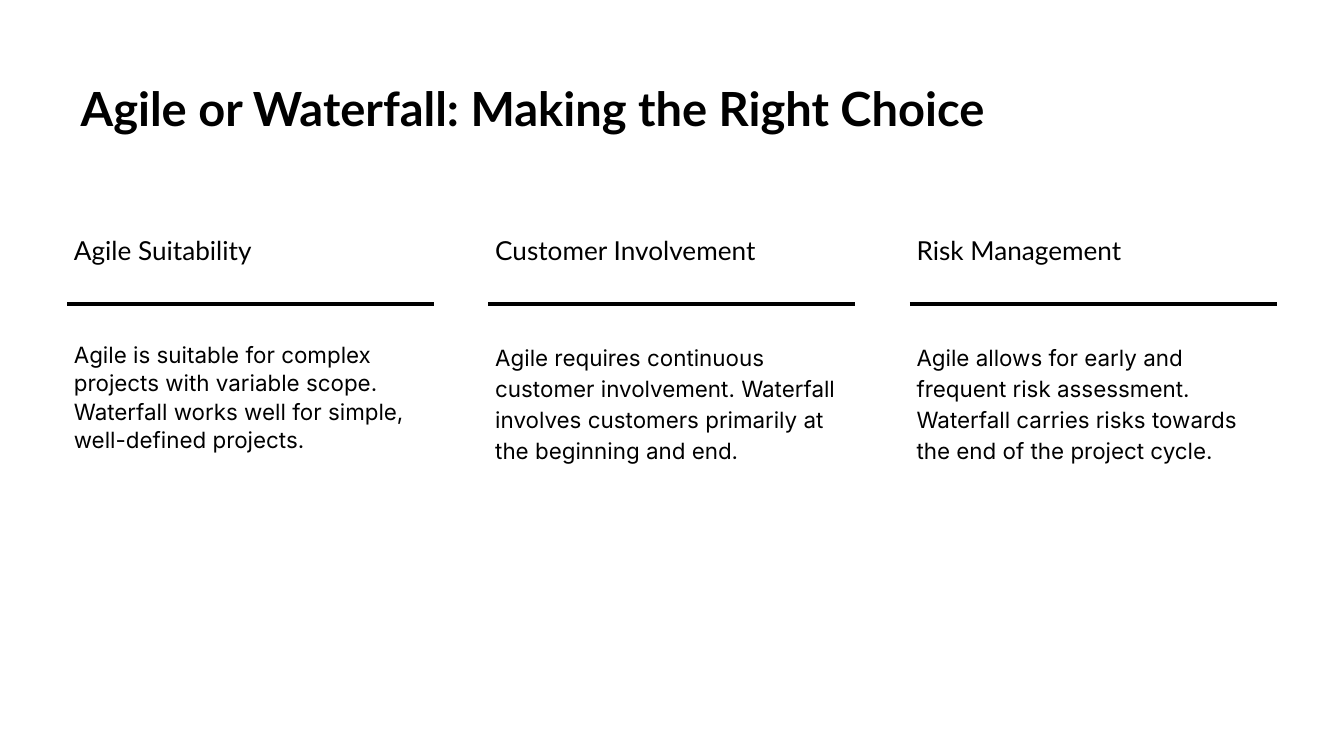
from dataclasses import dataclass

from lxml import etree
from pptx import Presentation
from pptx.dml.color import RGBColor
from pptx.enum import shapes, text
from pptx.oxml import ns
from pptx.util import Inches, Pt


@dataclass(frozen=True)
class Theme:
    """Colours, fonts and type sizes of the slide."""
    ink: RGBColor = RGBColor(0, 0, 0)
    paper: RGBColor = RGBColor(255, 255, 255)
    head: str = "Lato"
    body: str = "Inter"
    title: float = 25.2
    label: float = 14
    copy: float = 12
    rule: float = 2.25


THEME = Theme()
TITLE = "Agile or Waterfall: Making the Right Choice"
COLUMNS = [
    ("Agile Suitability",
     "Agile is suitable for complex projects with variable scope. "
     "Waterfall works well for simple, well-defined projects.", 1.05, 0.15),
    ("Customer Involvement",
     "Agile requires continuous customer involvement. "
     "Waterfall involves customers primarily at the beginning and end.", 1.15, 0.1),
    ("Risk Management",
     "Agile allows for early and frequent risk assessment. "
     "Waterfall carries risks towards the end of the project cycle.", 1.15, 0.1),
]


def assign(item, values):
    """Set each named attribute of an item."""
    for name, value in values.items():
        setattr(item, name, value)


def write(shape, words, face, size, insets, anchor, bold=False, **para):
    """Fill a shape with one formatted paragraph."""
    frame = shape.text_frame
    sides = ("margin_left", "margin_top", "margin_right", "margin_bottom")
    assign(frame, dict(zip(sides, map(Inches, insets))))
    assign(frame, {"word_wrap": True, "vertical_anchor": anchor,
                   "auto_size": text.MSO_AUTO_SIZE.NONE})
    line = frame.paragraphs[0]
    assign(line, {"alignment": text.PP_ALIGN.LEFT, **para})
    run = line.add_run()
    run.text = words
    assign(run.font, {"name": face, "size": Pt(size), "bold": bold})
    run.font.color.rgb = THEME.ink


def add_title(slide, left, top, width, height):
    """Place and format the title placeholder."""
    title = slide.shapes.title
    box = map(Inches, (left, top, width, height))
    assign(title, dict(zip(("left", "top", "width", "height"), box)))
    write(title, TITLE, THEME.head, THEME.title, (0.1,) * 4,
          text.MSO_ANCHOR.MIDDLE, bold=True)


def add_rule(slide, left, top, width):
    """Draw a horizontal rule without shadow."""
    rule = slide.shapes.add_connector(
        shapes.MSO_CONNECTOR.STRAIGHT,
        *map(Inches, (left, top, left + width, top)))
    rule.line.color.rgb = THEME.ink
    rule.line.width = Pt(THEME.rule)
    etree.SubElement(rule._element.spPr, ns.qn("a:effectLst"))


def add_column(slide, left, top, width, height, label, copy, spacing, right):
    """Place a label, a rule and a paragraph in one column."""
    head = slide.shapes.add_textbox(*map(Inches, (left, top, width, 0.79)))
    write(head, label, THEME.head, THEME.label, (0.05, 0, 0.15, 0.15),
          text.MSO_ANCHOR.BOTTOM)
    add_rule(slide, left, top + 0.92, width)
    body = slide.shapes.add_textbox(
        *map(Inches, (left, top + 0.99, width, height - 0.99)))
    write(body, copy, THEME.body, THEME.copy, (0.05, 0.2, right, 0.1),
          text.MSO_ANCHOR.TOP, line_spacing=spacing, space_after=Pt(10))


def add_columns(slide, left, top, width, height, size=2.73):
    """Spread the columns evenly over the box."""
    step = (width - size) / (len(COLUMNS) - 1)
    for index, column in enumerate(COLUMNS):
        add_column(slide, left + index * step, top, size, height, *column)


def main():
    """Build and save the slide."""
    deck = Presentation()
    wide = Inches(10)
    assign(deck, {"slide_width": wide, "slide_height": wide * 9 // 16})
    slide = deck.slides.add_slide(deck.slide_layouts[5])
    fill = slide.background.fill
    fill.solid()
    fill.fore_color.rgb = THEME.paper
    add_title(slide, 0.5, 0.49, 9, 0.63)
    add_columns(slide, 0.5, 1.34, 9, 3.38)
    deck.save("out.pptx")


if __name__ == "__main__":
    main()
